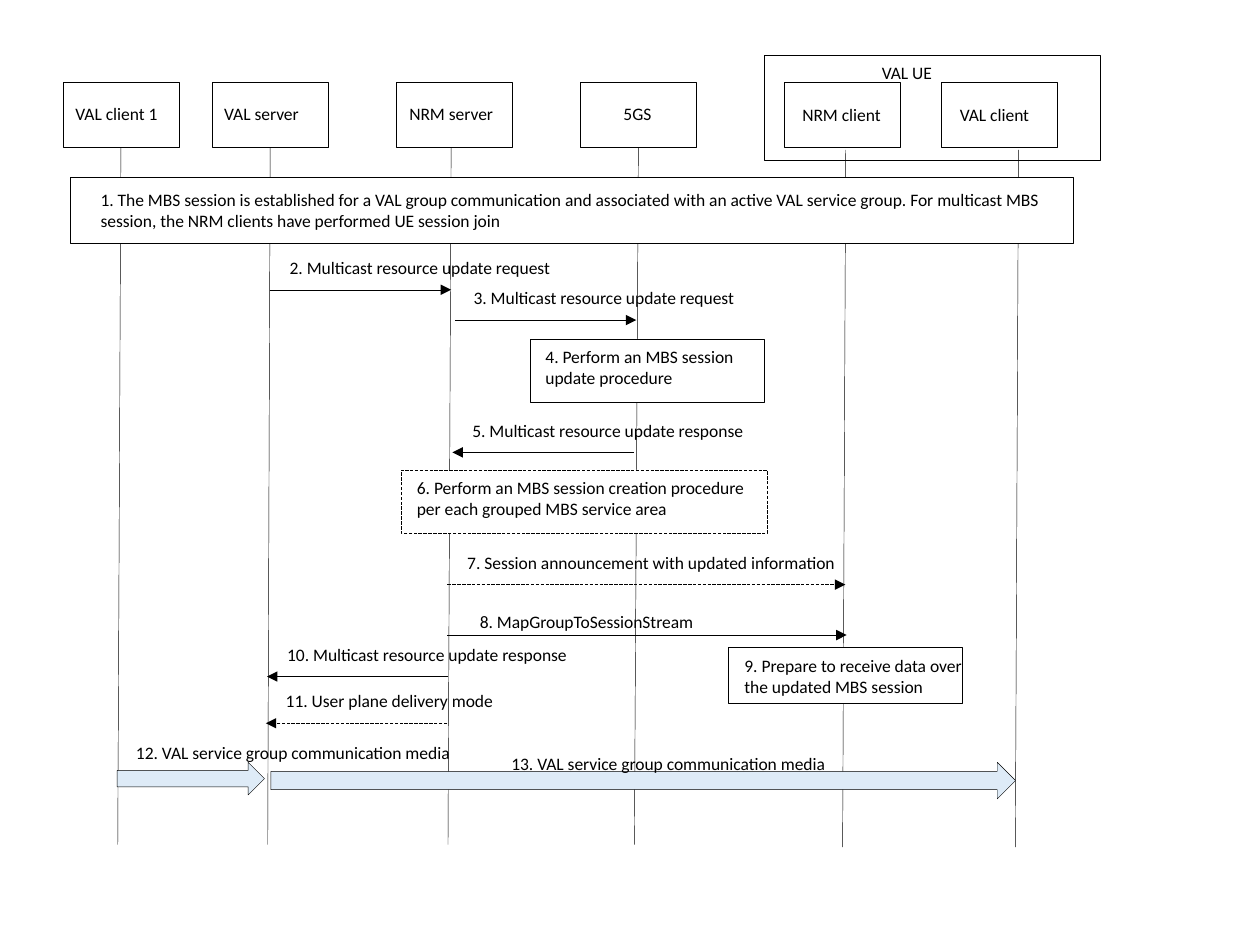
from dataclasses import dataclass

import pptx
import pptx.dml.color
import pptx.enum.dml
import pptx.enum.shapes
import pptx.enum.text
import pptx.oxml
import pptx.oxml.ns
import pptx.util
from lxml import etree

Pt = pptx.util.Pt
SHAPES = pptx.enum.shapes.MSO_SHAPE
BLACK, WHITE, PALE_BLUE = "000000", "FFFFFF", "DEEBF7"
FONT = "Calibri"
LINE_WIDTH = 0.25
LABEL_HEIGHT = 19.4
NOTE_HEIGHT = 31.7
HEADER_TOP, HEADER_WIDTH, HEADER_HEIGHT = 46.8, 66.2, 37.4
LIFELINE_SHIFT = 1.8  # each lifeline leans slightly to the left


@dataclass
class Participant:
    name: str
    left: float
    label_left: float
    label_width: float
    lifeline: float
    drop: float = 0  # extra offset of the lifeline's two ends
    joined: bool = False


@dataclass
class Message:
    text: str
    start: float
    end: float
    y: float
    label_left: float
    label_width: float
    rise: float = 22.3
    dashed: bool = False


@dataclass
class Note:
    text: str
    box: tuple[float, float, float, float]
    text_left: float
    text_top: float
    text_width: float
    dashed: bool = False


@dataclass
class MediaArrow:
    text: str
    box: tuple[float, float, float, float]
    label_left: float
    label_top: float


PARTICIPANTS = [
    Participant("VAL client 1", 36, 36, 62.6, 69.1, joined=True),
    Participant("VAL server", 121.3, 121, 58.3, 154.8, joined=True),
    Participant("NRM server", 226.3, 226.8, 63.4, 257.8),
    Participant("5GS", 331.7, 349.2, 31, 364.3, joined=True),
    Participant("NRM client", 448.4, 451.4, 59.8, 483.3, drop=1.5),
    Participant("VAL client", 537.8, 541.4, 55.4, 582, drop=1.5),
]
NOTES = [
    Note("1. The MBS session is established for a VAL group communication and "
         "associated with an active VAL service group. For multicast MBS session, "
         "the NRM clients have performed UE session join",
         (40.3, 101.5, 573.1, 37.4), 50.4, 104.4, 554.4),
    Note("4. Perform an MBS session update procedure",
         (303.1, 193.7, 133.9, 36), 304.6, 194.4, 133.9),
    Note("6. Perform an MBS session creation procedure per each grouped MBS service area",
         (229, 268.6, 209.5, 36), 231.1, 269.3, 207.4, dashed=True),
    Note("9. Prepare to receive data over the updated MBS session",
         (416.2, 370.1, 133.9, 31.7), 418.3, 370.8, 139.7),
]
MESSAGES = [
    Message("2. Multicast resource update request", 154.1, 257.8, 165.6, 158.4, 171.4),
    Message("3. Multicast resource update request", 259.9, 363.6, 182.9, 263.5, 166.3),
    Message("5. Multicast resource update response", 362.2, 258.5, 258.5, 262.8, 172.1),
    Message("7. Session announcement with updated information",
            255.6, 483.1, 334.1, 259.9, 227.5, dashed=True),
    Message("8. MapGroupToSessionStream", 255.6, 483.8, 362.9, 267.1, 139, rise=17.3),
    Message("10. Multicast resource update response", 256.3, 152.6, 386.6, 157, 177.1),
    Message("11. User plane delivery mode", 255.6, 151.9, 413.3, 156.2, 134.6, dashed=True),
]
MEDIA_ARROWS = [
    MediaArrow("12. VAL service group communication media", (67, 435.6, 84.2, 18.7), 70.6, 420.5),
    MediaArrow("13. VAL service group communication media", (154.8, 435.6, 425.5, 20.9), 285.1, 427),
]


def colour(value: str) -> pptx.dml.color.RGBColor:
    return pptx.dml.color.RGBColor.from_string(value)


def style_line(line, dashed: bool = False) -> None:
    line.width = Pt(LINE_WIDTH)
    line.color.rgb = colour(BLACK)
    if dashed:
        line.dash_style = pptx.enum.dml.MSO_LINE.LONG_DASH


def add_text(slide, text: str, left: float, top: float, width: float, *,
             height: float = LABEL_HEIGHT, wrap: bool = False, size: float = 10,
             font: str = FONT, text_colour: str = BLACK) -> None:
    text_box = slide.shapes.add_textbox(Pt(left), Pt(top), Pt(width), Pt(height))
    frame = text_box.text_frame
    frame.word_wrap = wrap
    frame.auto_size = pptx.enum.text.MSO_AUTO_SIZE.SHAPE_TO_FIT_TEXT
    run = frame.paragraphs[0].add_run()
    run.text = text
    run.font.size = Pt(size)
    run.font.name = font
    run.font.color.rgb = colour(text_colour)


def add_box(slide, box: tuple[float, float, float, float], *, kind=SHAPES.RECTANGLE,
            fill: str | None = None, dashed: bool = False):
    shape = slide.shapes.add_shape(kind, *(Pt(length) for length in box))
    shape.shadow.inherit = False
    if fill:
        shape.fill.solid()
        shape.fill.fore_color.rgb = colour(fill)
    else:
        shape.fill.background()
    style_line(shape.line, dashed)
    return shape


def add_line(slide, start: tuple[float, float], end: tuple[float, float], *,
             dashed: bool = False, arrow: bool = False):
    connector = slide.shapes.add_connector(
        pptx.enum.shapes.MSO_CONNECTOR.STRAIGHT, *(Pt(length) for length in start + end))
    style_line(connector.line, dashed)
    if arrow:
        etree.SubElement(connector.line._get_or_add_ln(),
                         pptx.oxml.ns.qn("a:tailEnd"), type="triangle")
    etree.SubElement(connector._element.spPr, pptx.oxml.ns.qn("a:effectLst"))
    return connector


def add_header(slide, participant: Participant):
    header = add_box(slide, (participant.left, HEADER_TOP, HEADER_WIDTH, HEADER_HEIGHT))
    add_text(slide, participant.name, participant.label_left,
             55.4 + participant.drop / 2, participant.label_width)
    return header


def add_lifeline(slide, participant: Participant, header) -> None:
    x, drop = participant.lifeline, participant.drop
    lifeline = add_line(slide, (x, HEADER_TOP + HEADER_HEIGHT + drop),
                        (x - LIFELINE_SHIFT, 482.6 + drop))
    if participant.joined:
        lifeline.begin_connect(header, 2)


def add_note(slide, note: Note) -> None:
    add_box(slide, note.box, fill=WHITE, dashed=note.dashed)
    add_text(slide, note.text, note.text_left, note.text_top, note.text_width,
             height=NOTE_HEIGHT, wrap=True)


def add_message(slide, message: Message) -> None:
    add_line(slide, (message.start, message.y), (message.end, message.y),
             dashed=message.dashed, arrow=True)
    add_text(slide, message.text, message.label_left,
             message.y - message.rise, message.label_width)


def add_media_arrow(slide, media: MediaArrow) -> None:
    add_box(slide, media.box, kind=SHAPES.RIGHT_ARROW, fill=PALE_BLUE)
    add_text(slide, media.text, media.label_left, media.label_top, 197.3)


def main() -> None:
    presentation = pptx.Presentation()
    presentation.slide_width, presentation.slide_height = Pt(720), Pt(540)
    slide = presentation.slides.add_slide(presentation.slide_layouts[6])

    # Participants, the frame around the UE, and lifelines
    headers = [add_header(slide, participant) for participant in PARTICIPANTS]
    add_box(slide, (437, 31.7, 191.5, 59.8))
    add_text(slide, "VAL UE", 496.8, 31.7, 43.9)
    for participant, header in zip(PARTICIPANTS, headers):
        add_lifeline(slide, participant, header)

    # Notes cover the lifelines; messages and media flows lie on top
    for note in NOTES:
        add_note(slide, note)
    for message in MESSAGES:
        add_message(slide, message)
    for media in MEDIA_ARROWS:
        add_media_arrow(slide, media)

    presentation.save("out.pptx")


if __name__ == "__main__":
    main()
